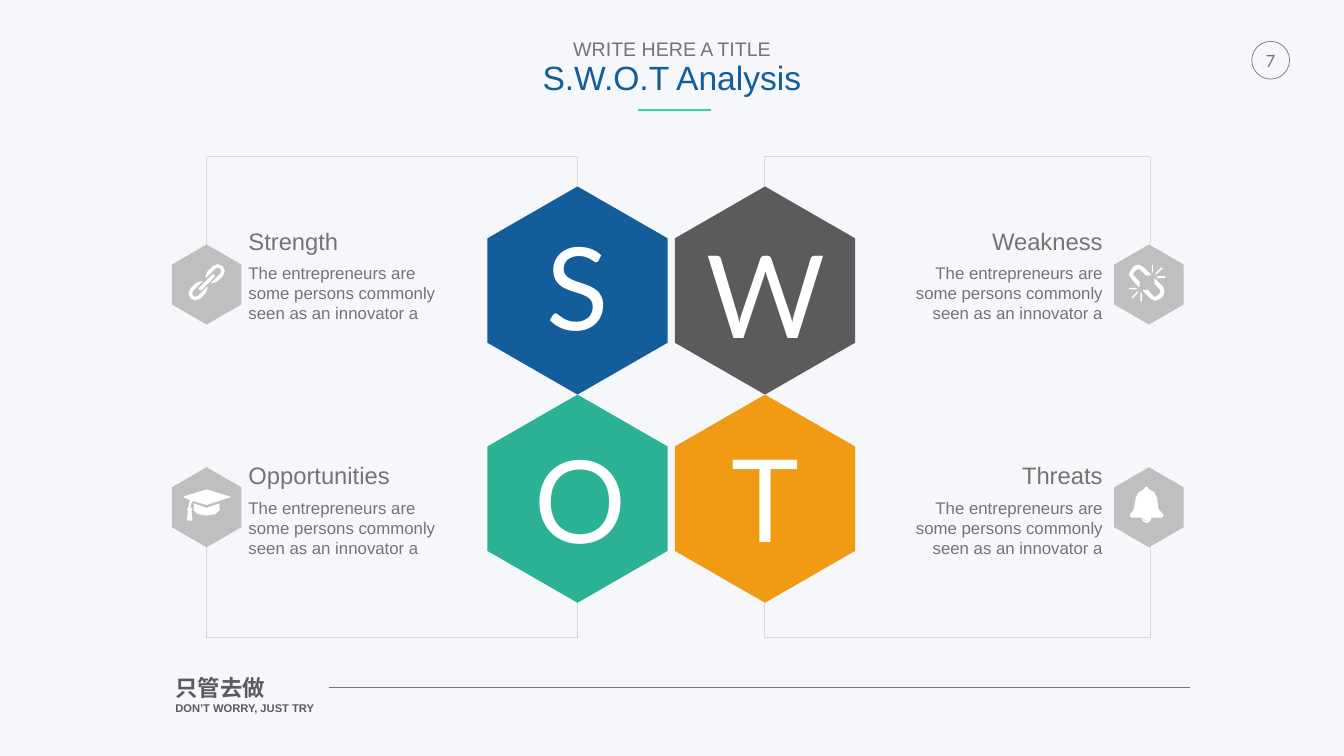
from pptx import Presentation
from pptx.dml.color import RGBColor
from pptx.enum.shapes import MSO_CONNECTOR, MSO_SHAPE
from pptx.enum.text import MSO_ANCHOR, PP_ALIGN as Align
from pptx.oxml.ns import qn
from pptx.util import Pt
from lxml.etree import SubElement

PX = 9144  # 100 px to the inch
GREY, DARK, BLUE, WHITE = "737572", "5B5B5B", "135D9A", "FFFFFF"
PALE, SILVER = "D9D9D9", "BFBFBF"
rgb = RGBColor.from_string

deck = Presentation()
deck.slide_width, deck.slide_height = 2667 * PX, 1500 * PX
slide = deck.slides.add_slide(deck.slide_layouts[5])
shapes = slide.shapes
slide.background.fill.solid()
slide.background.fill.fore_color.rgb = rgb("F6F7FA")


def write(box, lines, align=Align.LEFT, wrap=True):
    """Fill a box with lines of (text, size, font, colour, bold)."""
    frame = box.text_frame
    frame.text = "\n".join(line[0] for line in lines)
    frame.word_wrap = wrap
    frame.vertical_anchor = MSO_ANCHOR.TOP
    frame.margin_left = frame.margin_right = 5 * PX
    frame.margin_top = frame.margin_bottom = 5 * PX
    for para, (_, size, face, colour, bold) in zip(frame.paragraphs, lines):
        para.alignment = align
        font = para.runs[0].font
        font.size, font.name, font.bold = Pt(size), face, bold
        font.color.rgb = rgb(colour)


def outline(loops, colour):
    """Draw one filled shape from closed loops of points."""
    pen = shapes.build_freeform(*loops[0][0], scale=PX)
    for i, loop in enumerate(loops):
        if i:
            pen.move_to(*loop[0])
        pen.add_line_segments(loop[1:], close=True)
    form = pen.convert_to_shape()
    form.shadow.inherit = False
    form.fill.solid()
    form.fill.fore_color.rgb = rgb(colour)
    form.line.fill.background()


# Title
title = shapes.title
title.left, title.top, title.width, title.height = [n * PX for n in (1071, 74, 525, 133)]
write(title, [("WRITE HERE A TITLE", 28, "Arial", GREY, False),
              ("S.W.O.T Analysis", 48, "Arial", BLUE, False)], Align.CENTER, False)
for para in title.text_frame.paragraphs:
    para.line_spacing = 0.9
    para.space_before = Pt(0)

# Page number
ring = shapes.add_shape(MSO_SHAPE.OVAL, 2484 * PX, 82 * PX, 75 * PX, 75 * PX)
ring.shadow.inherit = False
ring.fill.background()
ring.line.color.rgb, ring.line.width = rgb(GREY), Pt(1)
page = shapes.add_textbox(2491 * PX, 95 * PX, 60 * PX, 50 * PX)
write(page, [("7", 24, "Lato", GREY, False)], Align.CENTER)

# Footer
motto = shapes.add_textbox(343 * PX, 1333 * PX, 399 * PX, 99 * PX)
write(motto, [("只管去做", 32, "Arial", DARK, True),
              ("DON’T WORRY, JUST TRY", 16, "Arial", DARK, True)])

# Rules and the brackets that tie each big hexagon to its small one
rules = [(652, 1364, 2362, 1364, GREY, 0.25), (1267, 218, 1411, 218, "33D1AD", 3)]
for near, far in ((1146, 410), (1516, 2283)):
    for edge, big, small in ((311, 370, 485), (1265, 1197, 1086)):
        rules += [(near, edge, far, edge, PALE, 1),
                  (near, big, near, edge, PALE, 1),
                  (far, small, far, edge, PALE, 1)]
for x1, y1, x2, y2, colour, weight in rules:
    rule = shapes.add_connector(MSO_CONNECTOR.STRAIGHT, x1 * PX, y1 * PX, x2 * PX, y2 * PX)
    rule.line.color.rgb, rule.line.width = rgb(colour), Pt(weight)
    SubElement(rule._element.spPr, qn("a:effectLst"))

# Hexagons, letters and notes
note = "The entrepreneurs are some persons commonly seen as an innovator a"
parts = [
    # letter, its left and top, heading, colour, column, row
    ("S", 1006, 423, "Strength", BLUE, 0, 0),
    ("W", 1379, 439, "Weakness", DARK, 1, 0),
    ("O", 1011, 846, "Opportunities", "2BB294", 0, 1),
    ("T", 1378, 843, "Threats", "F19A14", 1, 1),
]
for letter, left, top, head, colour, col, row in parts:
    hexes = [(967 + 372 * col, 370 + 413 * row, 358, 413, colour),
             (341 + 1870 * col, 485 + 442 * row, 138, 159, SILVER)]
    for x, y, w, h, fill in hexes:
        mid, high, low = x + w / 2, y + h / 4, y + h * 3 / 4
        outline([[(mid, y), (x + w, high), (x + w, low),
                  (mid, y + h), (x, low), (x, high)]], fill)
    box = shapes.add_textbox(left * PX, top * PX, 281 * PX, 284 * PX)
    write(box, [(letter, 164, "Lato", WHITE, False)], Align.CENTER)
    side = Align.RIGHT if col else Align.LEFT
    for text, size, y, h in ((head, 34, 444, 67), (note, 24, 516, 131)):
        box = shapes.add_textbox((488 + 1275 * col) * PX, (y + 466 * row) * PX, 430 * PX, h * PX)
        write(box, [(text, size, "Arial", GREY, False)], side)

# Icons
half = [(442, 548), (432, 558), (425, 561), (418, 562), (427, 553), (437, 543),
        (439, 538), (437, 533), (432, 531), (427, 533), (417, 543), (408, 552),
        (409, 545), (412, 538), (422, 528), (432, 524), (442, 528), (446, 538)]
chain = [half, [(820 - x, 1120 - y) for x, y in half],
         [(401, 575), (398, 576), (395, 574), (394, 572), (396, 570), (420, 546),
          (422, 544), (425, 545), (426, 548), (425, 550)]]
broken = [
    [(2275, 547), (2262, 535), (2260, 534), (2256, 535), (2250, 541), (2249, 545),
     (2250, 547), (2262, 560), (2261, 570), (2258, 568), (2245, 553), (2240, 545),
     (2245, 535), (2250, 528), (2260, 525), (2269, 530), (2283, 544), (2285, 546)],
    [(2308, 588), (2302, 593), (2293, 597), (2284, 593), (2269, 578), (2268, 576),
     (2278, 575), (2289, 588), (2292, 589), (2295, 588), (2302, 581), (2303, 578),
     (2302, 575), (2291, 563), (2291, 553), (2293, 554), (2308, 569), (2311, 578)],
    [(2255, 574), (2241, 574), (2240, 573), (2241, 571), (2255, 571), (2256, 573)],
    [(2248, 592), (2246, 592), (2246, 590), (2257, 578), (2259, 579), (2258, 581)],
    [(2266, 597), (2265, 598), (2263, 597), (2263, 582), (2265, 581), (2266, 582)],
    [(2288, 540), (2287, 541), (2286, 540), (2286, 526), (2287, 525), (2288, 526)],
    [(2295, 544), (2294, 545), (2293, 544), (2293, 542), (2304, 531), (2307, 531), (2307, 533)],
    [(2311, 552), (2298, 552), (2295, 550), (2298, 548), (2311, 548), (2313, 550)],
]
cap = [
    [(456, 987), (410, 1002), (383, 994), (380, 998), (378, 1006), (382, 1010), (380, 1014),
     (382, 1031), (381, 1033), (372, 1033), (371, 1031), (373, 1014), (371, 1010),
     (374, 1006), (377, 992), (365, 987), (364, 986), (365, 985), (410, 971),
     (456, 985), (457, 986)],
    [(436, 1012), (428, 1020), (410, 1023), (392, 1020), (384, 1012), (385, 999),
     (408, 1007), (410, 1008), (412, 1007), (435, 999)],
]
bell = [
    [(2304, 1027), (2285, 1027), (2282, 1034), (2275, 1038), (2268, 1034), (2265, 1027),
     (2247, 1027), (2243, 1026), (2242, 1022), (2250, 1010), (2254, 988), (2259, 977),
     (2271, 970), (2271, 968), (2275, 965), (2279, 968), (2279, 970), (2291, 977),
     (2296, 988), (2299, 1010), (2309, 1022), (2308, 1026)],
    [(2275, 1032), (2271, 1031), (2269, 1027), (2268, 1026), (2268, 1027),
     (2270, 1032), (2275, 1034), (2276, 1033)],
]
for icon in (chain, broken, cap, bell):
    outline(icon, WHITE)

deck.save("out.pptx")
